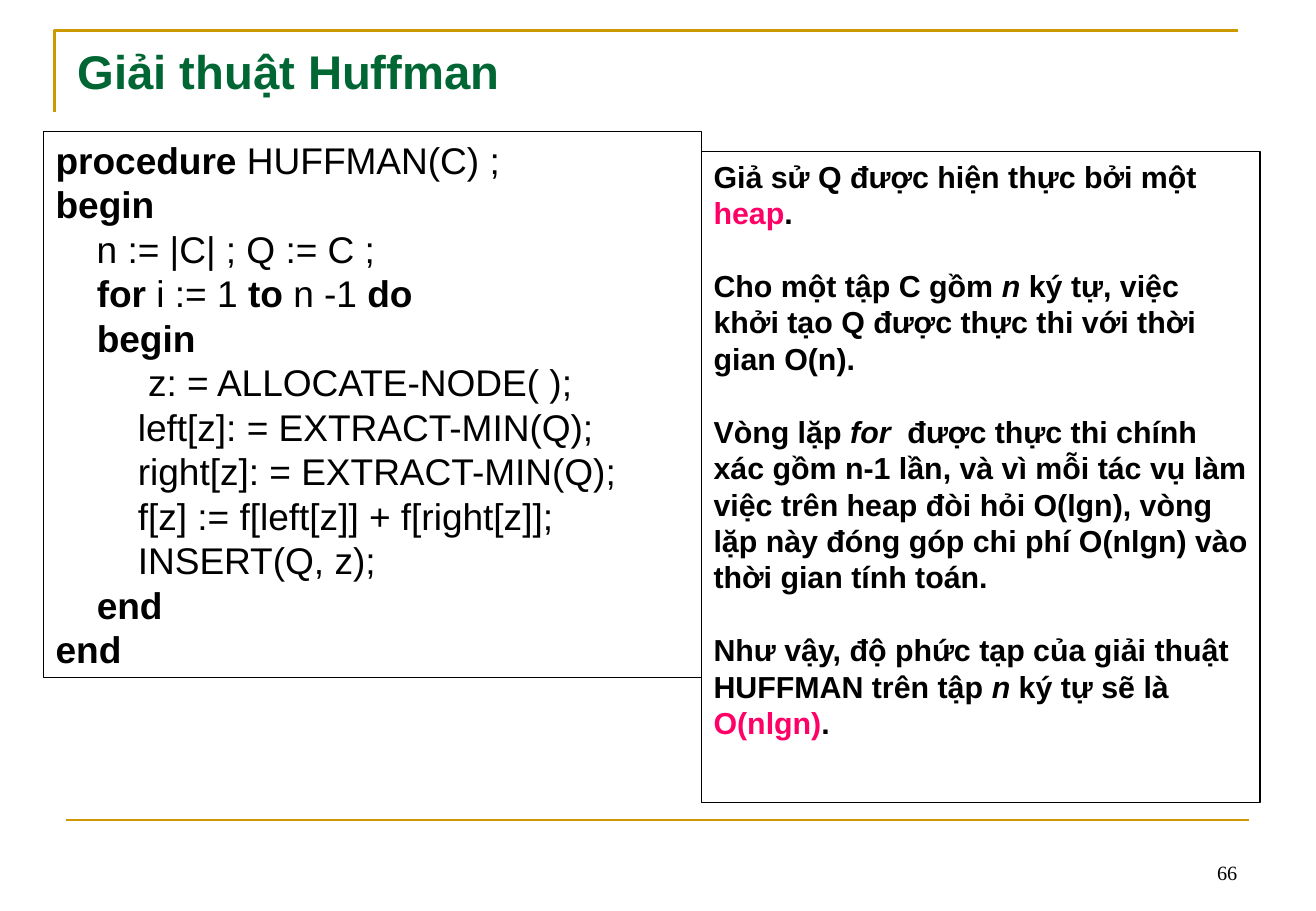
from dataclasses import dataclass

from lxml import etree
from pptx import Presentation
from pptx.dml.color import RGBColor
from pptx.enum import shapes, text
from pptx.oxml import ns
from pptx.util import Inches, Pt


@dataclass(frozen=True)
class Theme:
    font: str = "Arial"
    number_font: str = "Times New Roman"
    ink: str = "000000"
    title: str = "006633"
    accent: str = "FF0066"
    rule: str = "CC9900"
    title_size: int = 28
    code_size: int = 22
    note_size: int = 18
    number_size: int = 12
    rule_width: float = 1.5
    border_width: float = 0.75
    leading: float = 1.2


THEME = Theme()
PLAIN, BOLD, ITALIC, HOT = "plain", "bold", "italic", "hot"

TITLE = "Giải thuật Huffman"
PAGE = "66"
CODE = [
    [("procedure", BOLD), (" HUFFMAN(C) ;", PLAIN)],
    [("begin", BOLD)],
    [("    n := |C| ; Q := C ;", PLAIN)],
    [("    ", PLAIN), ("for", BOLD), (" i := 1 ", PLAIN), ("to", BOLD),
     (" n -1 ", PLAIN), ("do", BOLD)],
    [("    ", PLAIN), ("begin", BOLD)],
    [("         z: = ALLOCATE-NODE( );", PLAIN)],
    [("        left[z]: = EXTRACT-MIN(Q);", PLAIN)],
    [("        right[z]: = EXTRACT-MIN(Q);", PLAIN)],
    [("        f[z] := f[left[z]] + f[right[z]];", PLAIN)],
    [("        INSERT(Q, z);", PLAIN)],
    [("    ", PLAIN), ("end", BOLD)],
    [("end", BOLD)],
]
NOTES = [
    [("Giả sử Q được hiện thực bởi một ", BOLD), ("heap", HOT), (".", BOLD)],
    [("Cho một tập C gồm ", BOLD), ("n", ITALIC),
     (" ký tự, việc khởi tạo Q được thực thi với thời gian O(n).", BOLD)],
    [("Vòng lặp ", BOLD), ("for ", ITALIC),
     (" được thực thi chính xác gồm n-1 lần, và vì mỗi tác vụ làm việc trên heap "
      "đòi hỏi O(lgn), vòng lặp này đóng góp chi phí O(nlgn) vào thời gian tính toán.", BOLD)],
    [("Như vậy, độ phức tạp của giải thuật HUFFMAN trên tập ", BOLD), ("n", ITALIC),
     (" ký tự sẽ là ", BOLD), ("O(nlgn)", HOT), (".", BOLD)],
]

CODE_BOX = (0.36, 1.08, 5.42, 4.5)
NOTE_BOX = (CODE_BOX[0] + CODE_BOX[2], 1.25, 4.6, 5.36)
TITLE_BOX = (0.54, 0.3, 9.75, 0.43)
PAGE_BOX = (7.76, 6.83, 2.53, 0.5)
CORNER = [(0.45, 0.92), (0.45, 0.25), (10.2, 0.25)]
FOOT_RULE = [(0.54, 6.75), (10.29, 6.75)]


def inches(values):
    return [Inches(v) for v in values]


def style_run(r, size, color, bold=False, italic=False, font=THEME.font):
    r.font.name = font
    r.font.size = Pt(size)
    r.font.bold = bold
    r.font.italic = italic
    r.font.color.rgb = RGBColor.from_string(color)


def style_line(line, color, width):
    line.color.rgb = RGBColor.from_string(color)
    line.width = Pt(width)


def add_panel(s, box, paragraphs, size, align, gap=0):
    sp = s.shapes.add_shape(shapes.MSO_SHAPE.RECTANGLE, *inches(box))
    sp.shadow.inherit = False
    sp.fill.background()
    style_line(sp.line, THEME.ink, THEME.border_width)
    tf = sp.text_frame
    tf.word_wrap = True
    tf.vertical_anchor = text.MSO_ANCHOR.TOP
    for i, parts in enumerate(paragraphs):
        p = tf.add_paragraph() if i else tf.paragraphs[0]
        p.alignment = align
        p.line_spacing = Pt(size * THEME.leading)
        p.space_before = Pt(gap if i else 0)
        for words, kind in parts:
            r = p.add_run()
            r.text = words
            style_run(r, size, THEME.accent if kind == HOT else THEME.ink,
                      bold=kind != PLAIN, italic=kind == ITALIC)


def add_rules(s):
    start, *rest = [inches(point) for point in CORNER]
    builder = s.shapes.build_freeform(*start)
    builder.add_line_segments(rest, close=False)
    corner = builder.convert_to_shape()
    corner.shadow.inherit = False
    corner.fill.background()
    style_line(corner.line, THEME.rule, THEME.rule_width)

    begin, end = [inches(point) for point in FOOT_RULE]
    foot = s.shapes.add_connector(shapes.MSO_CONNECTOR.STRAIGHT, *begin, *end)
    etree.SubElement(foot._element.spPr, ns.qn("a:effectLst"))
    style_line(foot.line, THEME.rule, THEME.rule_width)


def add_title(s):
    sp = s.shapes.title
    sp.left, sp.top, sp.width, sp.height = inches(TITLE_BOX)
    tf = sp.text_frame
    tf.text = TITLE
    tf.auto_size = text.MSO_AUTO_SIZE.NONE
    tf.vertical_anchor = text.MSO_ANCHOR.TOP
    p = tf.paragraphs[0]
    p.alignment = text.PP_ALIGN.LEFT
    p.line_spacing = Pt(THEME.title_size * THEME.leading)
    style_run(p.runs[0], THEME.title_size, THEME.title, bold=True)


def add_page_number(s):
    tf = s.shapes.add_textbox(*inches(PAGE_BOX)).text_frame
    tf.word_wrap = True
    tf.vertical_anchor = text.MSO_ANCHOR.BOTTOM
    tf.text = PAGE
    p = tf.paragraphs[0]
    p.alignment = text.PP_ALIGN.RIGHT
    style_run(p.runs[0], THEME.number_size, THEME.ink, font=THEME.number_font)


def main():
    prs = Presentation()
    prs.slide_width, prs.slide_height = inches((10.84, 7.5))
    s = prs.slides.add_slide(prs.slide_layouts[5])
    add_rules(s)
    add_page_number(s)
    add_title(s)
    add_panel(s, CODE_BOX, CODE, THEME.code_size, text.PP_ALIGN.JUSTIFY)
    add_panel(s, NOTE_BOX, NOTES, THEME.note_size, text.PP_ALIGN.LEFT,
              gap=THEME.note_size * THEME.leading)
    prs.save("out.pptx")


if __name__ == "__main__":
    main()
